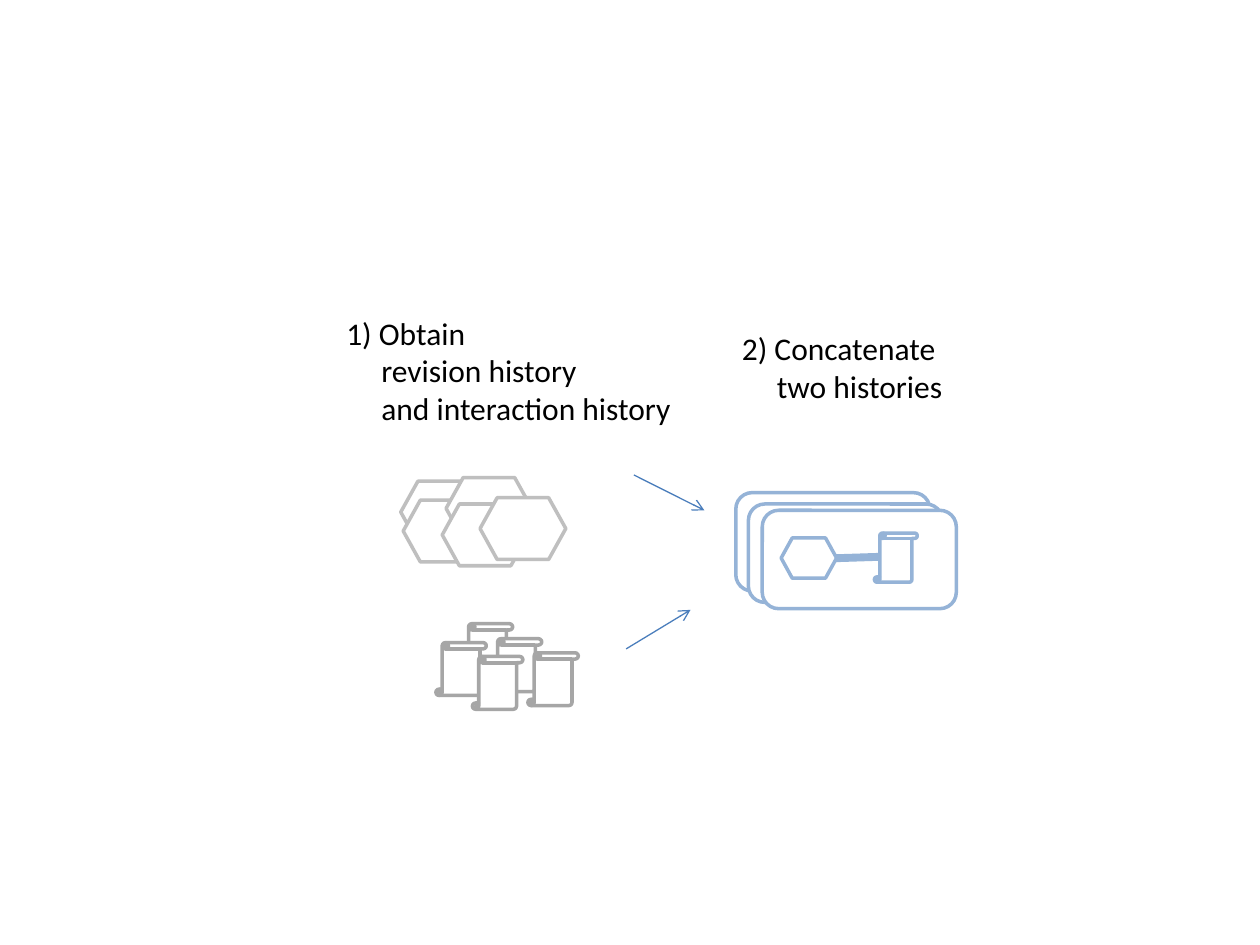
from lxml.etree import SubElement
from pptx import Presentation
from pptx.dml.color import RGBColor
from pptx.enum.shapes import MSO_CONNECTOR, MSO_SHAPE
from pptx.enum.text import MSO_AUTO_SIZE
from pptx.oxml.ns import qn
from pptx.util import Pt

WHITE = RGBColor(0xFF, 0xFF, 0xFF)
BLACK = RGBColor(0, 0, 0)
SILVER = RGBColor(0xBF, 0xBF, 0xBF)
GREY = RGBColor(0xA6, 0xA6, 0xA6)
SKY = RGBColor(0x95, 0xB3, 0xD7)
BLUE = RGBColor(0x4B, 0x7E, 0xBC)

CARD = MSO_SHAPE.ROUNDED_RECTANGLE
SCROLL = MSO_SHAPE.VERTICAL_SCROLL
HEX = MSO_SHAPE.FLOWCHART_PREPARATION

CARDS = [(420.5, 281.5), (427.7, 288), (435.6, 291.6)]
SCROLLS = [(264.2, 356.4), (280.8, 365), (301.7, 373), (249.1, 367.2), (270, 375.1)]
HEXES = [(229, 275), (230.4, 285.8), (254.9, 272.9), (252.7, 288), (274.3, 284.4)]


def add_stack(shapes, kind, spots, size, color):
    for left, top in spots:
        shape = shapes.add_shape(kind, Pt(left), Pt(top), Pt(size[0]), Pt(size[1]))
        shape.shadow.inherit = False
        shape.fill.solid()
        shape.fill.fore_color.rgb = WHITE
        shape.line.color.rgb = color
        shape.line.width = Pt(2)


def add_line(shapes, start, end, color, width, arrow=False):
    ends = [Pt(n) for n in start + end]
    line = shapes.add_connector(MSO_CONNECTOR.STRAIGHT, *ends)
    line.line.color.rgb = color
    line.line.width = Pt(width)
    if arrow:
        SubElement(line.line._get_or_add_ln(), qn("a:tailEnd"), type="arrow")
    SubElement(line._element.spPr, qn("a:effectLst"))


def add_step(shapes, box, lines, wrap):
    frame = shapes.add_textbox(*[Pt(n) for n in box]).text_frame
    frame.word_wrap = wrap
    frame.auto_size = MSO_AUTO_SIZE.SHAPE_TO_FIT_TEXT
    for i, text in enumerate(lines):
        para = frame.add_paragraph() if i else frame.paragraphs[0]
        if i:
            para._p.get_or_add_pPr().set("marL", str(Pt(20)))
        run = para.add_run()
        run.text = text
        run.font.name = "Calibri"
        run.font.size = Pt(18)
        run.font.color.rgb = BLACK


def main():
    deck = Presentation()
    deck.slide_width, deck.slide_height = Pt(720), Pt(540)
    shapes = deck.slides.add_slide(deck.slide_layouts[6]).shapes

    add_stack(shapes, SCROLL, SCROLLS, (28.8, 30.2), GREY)
    add_stack(shapes.add_group_shape().shapes, HEX, HEXES, (49, 35.3), SILVER)
    add_stack(shapes, CARD, CARDS, (110.9, 56.2), SKY)
    add_stack(shapes, SCROLL, [(499.7, 304.6)], (24.5, 28.1), SKY)
    add_stack(shapes, HEX, [(446.4, 307.4)], (31.7, 23), SKY)

    add_line(shapes, (477.4, 319), (502.6, 318.2), SKY, 4.5)
    add_line(shapes, (362.2, 271.4), (402.5, 291.6), BLUE, 0.75, True)
    add_line(shapes, (357.8, 370.8), (394.6, 348.5), BLUE, 0.75, True)

    add_step(shapes, (190.8, 175.7, 226, 72.7),
             ["1) Obtain", "revision history", "and interaction history"], True)
    add_step(shapes, (416.9, 184.3, 131.8, 51.1),
             ["2) Concatenate", "two histories"], False)
    deck.save("out.pptx")


if __name__ == "__main__":
    main()
